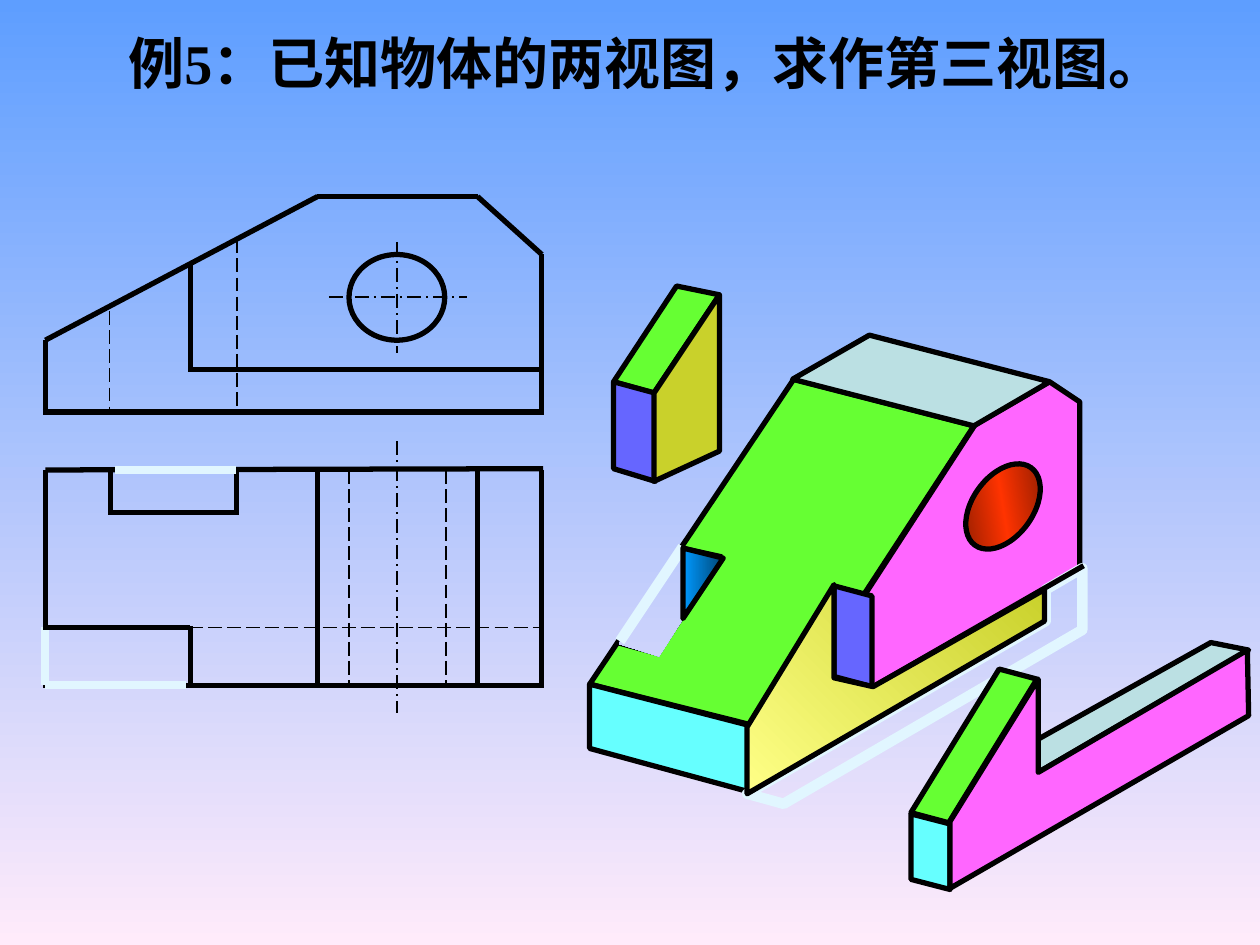
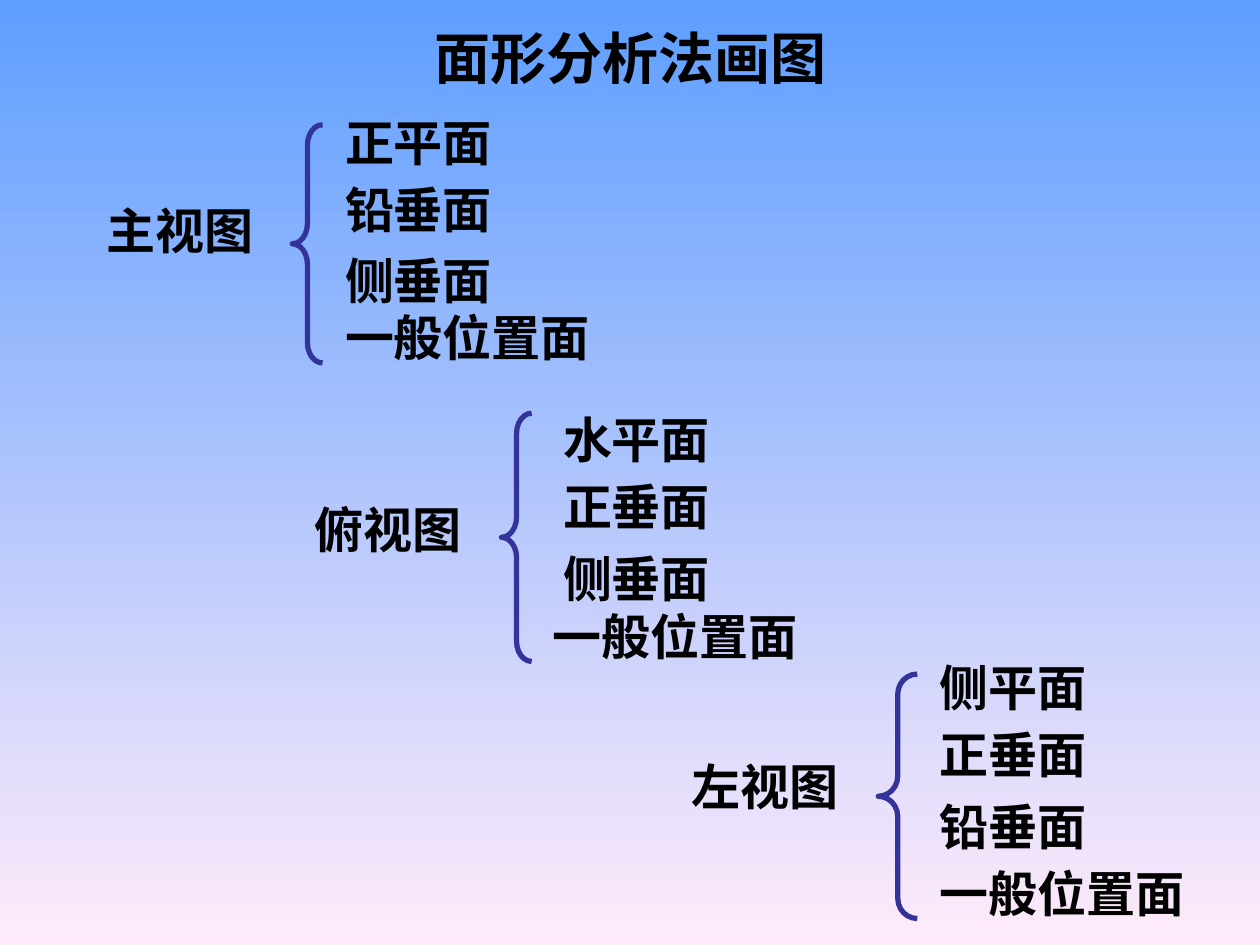
"""Build two slides on working out the third view of a solid."""
from copy import deepcopy
from dataclasses import dataclass
from typing import Any, NamedTuple

from lxml.etree import SubElement
from pptx import Presentation
from pptx.dml.color import RGBColor
from pptx.enum.dml import MSO_LINE
from pptx.enum.shapes import MSO_CONNECTOR, MSO_SHAPE
from pptx.enum.text import MSO_ANCHOR as ANCHOR
from pptx.enum.text import MSO_AUTO_SIZE as AUTO
from pptx.enum.text import PP_ALIGN as ALIGN
from pptx.oxml.ns import qn
from pptx.util import Inches, Pt

Point = tuple[float, float]
Box = tuple[float, float, float, float]

BLACK = "000000"
GHOST = "E1F6FF"
GREEN = "66FF33"
CYAN = "66FFFF"
PINK = "FF66FF"
GREY = "BBE0E3"
VIOLET = "6666FF"
OLIVE = "C9D12B"
NAVY = "333399"
BACKDROP = "backdrop"
CJK = "Noto Sans CJK SC"
LATIN = "Arial"


class Gradient(NamedTuple):
    """Evenly spaced colours along a counter-clockwise angle."""
    colors: tuple[str, ...]
    angle: float


class Stroke(NamedTuple):
    """Pen colour, width in points and dash."""
    color: str = BLACK
    width: float = 3
    dash: Any = None


@dataclass
class Face:
    """One visible face of a solid."""
    points: list[Point]
    fill: str | Gradient
    stroke: Stroke | None = Stroke()


@dataclass
class Edges:
    """Straight segments drawn with the same pen."""
    stroke: Stroke
    segments: list[Box]


@dataclass
class ViewGroup:
    """A view name, its brace and the planes listed beside it."""
    name: str
    name_at: Point
    brace: Box
    planes: list[tuple[str, float, float]]


SKY = Gradient(("5E9EFF", "FFEBFA"), 270)
HOLE = Gradient(("761800", "FF3300", "761800"), 45)
SLOPE = Gradient(("FFFF87", OLIVE), 45)
NOTCH = Gradient(("0099FF", "004776"), 0)

SOLID = Stroke()
HIDDEN = Stroke(width=1, dash=MSO_LINE.LONG_DASH)
CENTRE = Stroke(width=1, dash=MSO_LINE.LONG_DASH_DOT)
ERASED = Stroke(GHOST, 4.5)
REMOVED = Stroke(GHOST, 6)

VIEWS = [
    Edges(SOLID, [
        (0.36, 2.7, 2.52, 1.56), (0.34, 3.27, 4.32, 3.27),
        (0.36, 3.27, 0.36, 2.7), (2.52, 1.56, 3.79, 1.56),
        (3.79, 1.56, 4.3, 2.02), (4.3, 2.02, 4.3, 3.27),
        (0.36, 3.73, 4.31, 3.72), (0.36, 3.73, 0.36, 5.44),
        (0.34, 5.44, 4.31, 5.44), (4.3, 3.73, 4.3, 5.46),
        (3.79, 3.73, 3.79, 5.44), (2.52, 3.73, 2.52, 5.44),
        (0.88, 3.72, 0.88, 4.09), (1.88, 3.71, 1.88, 4.09),
        (0.87, 4.07, 1.88, 4.07)]),
    Edges(CENTRE, [
        (3.15, 1.92, 3.15, 2.8), (2.61, 2.36, 3.71, 2.36),
        (3.15, 3.5, 3.15, 5.66)]),
    Edges(HIDDEN, [
        (3.54, 3.73, 3.54, 5.44), (2.77, 3.73, 2.77, 5.44),
        (1.88, 1.9, 1.88, 3.27), (0.87, 2.47, 0.87, 3.27),
        (1.5, 4.98, 4.3, 4.98)]),
    Edges(ERASED, [
        (0.91, 3.73, 1.87, 3.73), (0.36, 4.98, 0.36, 5.44),
        (0.36, 5.44, 1.48, 5.44)]),
    Edges(SOLID, [
        (1.51, 4.97, 1.51, 5.46), (1.51, 2.1, 1.51, 2.95),
        (1.51, 2.93, 4.3, 2.93), (1.51, 4.98, 0.34, 4.98)]),
]

BODY = [
    Face([(4.68, 5.43), (6.15, 5.8), (7.73, 3.38), (6.3, 3.01)], GREEN),
    Face([(4.68, 5.94), (4.68, 5.43), (6.15, 5.81), (6.15, 6.34)], CYAN),
    Face([(6.15, 6.35), (8.57, 4.94), (8.57, 3.19), (8.33, 3.03),
          (7.74, 3.37), (6.15, 5.82)], PINK),
    Face([(7.73, 3.38), (6.29, 3.01), (6.9, 2.66), (8.33, 3.03)], GREY),
]

FRONT_CUT = [
    Face([(5.93, 6.3), (8.3, 4.93), (8.3, 4.68), (8.59, 4.51),
          (8.59, 5), (6.22, 6.38)], BACKDROP, REMOVED),
    Face([(6.62, 5.37), (6.62, 4.65), (6.92, 4.73), (6.92, 5.45)], VIOLET),
    Edges(SOLID, [(6.93, 5.45, 8.6, 4.49)]),
    Face([(5.93, 6.3), (5.93, 5.77), (6.62, 4.64), (6.62, 5.38),
          (6.93, 5.45), (8.29, 4.68), (8.29, 4.93)], SLOPE),
]

FRONT_PIECE = [
    Face([(7.54, 7.06), (7.23, 6.98), (7.23, 6.46), (7.54, 6.54)], CYAN),
    Face([(7.23, 6.45), (7.53, 6.53), (8.23, 5.39), (7.93, 5.31)], GREEN),
    Face([(7.93, 6.04), (8.24, 6.13), (9.91, 5.16), (9.61, 5.1)], GREY),
    Face([(7.54, 7.05), (7.54, 6.52), (8.24, 5.39), (8.24, 6.13),
          (9.9, 5.16), (9.91, 5.68)], PINK),
]

BACK_CUT = [
    Edges(SOLID, [(5.73, 4.42, 5.21, 5.2), (5.23, 5.19, 4.9, 5.1)]),
    Face([(4.91, 5.11), (5.23, 5.21), (5.73, 4.43), (5.41, 4.36)],
         BACKDROP, None),
    Edges(SOLID, [(5.41, 4.35, 5.73, 4.42)]),
    Edges(REMOVED, [(4.92, 5.09, 5.42, 4.34)]),
    Face([(5.42, 4.35), (5.74, 4.43), (5.42, 4.91)], NOTCH),
]

BACK_PIECE = [
    Face([(4.87, 3.03), (5.19, 3.12), (5.71, 2.34), (5.37, 2.27)], GREEN),
    Face([(4.87, 3.03), (4.87, 3.72), (5.2, 3.82), (5.2, 3.12)], VIOLET),
    Face([(5.19, 3.82), (5.71, 3.58), (5.71, 2.34), (5.19, 3.12)], OLIVE),
]

GROUPS = [
    ViewGroup("主视图", (0.75, 1.54), (2.32, 0.99, 0.24, 1.89),
              [("正平面", 2.64, 0.84), ("铅垂面", 2.64, 1.37),
               ("侧垂面", 2.64, 1.94), ("一般位置面", 2.64, 2.39)]),
    ViewGroup("俯视图", (2.4, 3.91), (3.98, 3.28, 0.24, 1.97),
              [("水平面", 4.37, 3.2), ("正垂面", 4.37, 3.73),
               ("侧垂面", 4.37, 4.3), ("一般位置面", 4.29, 4.76)]),
    ViewGroup("左视图", (5.39, 5.95), (6.97, 5.35, 0.31, 1.94),
              [("侧平面", 7.36, 5.17), ("正垂面", 7.36, 5.7),
               ("铅垂面", 7.36, 6.27), ("一般位置面", 7.36, 6.8)]),
]


def rgb(color: str) -> RGBColor:
    """Turn a hex string into a colour."""
    return RGBColor.from_string(color)


def assign(target: Any, values: dict[str, Any]) -> None:
    """Set every named attribute on the target."""
    for name, value in values.items():
        setattr(target, name, value)


def paint_gradient(fill: Any, root: Any, gradient: Gradient) -> None:
    """Fill with evenly spaced gradient stops."""
    fill.gradient()
    fill.gradient_angle = gradient.angle
    stops = root.xpath(".//a:gsLst")[0]
    for _ in gradient.colors[2:]:
        stops.append(deepcopy(stops[0]))
    last = len(gradient.colors) - 1
    for i, (stop, color) in enumerate(zip(fill.gradient_stops, gradient.colors)):
        stop.position = i / last
        stop.color.rgb = rgb(color)


def set_line(line: Any, stroke: Stroke | None) -> None:
    """Apply a pen, or no line at all."""
    if stroke is None:
        line.fill.background()
        return
    line.color.rgb = rgb(stroke.color)
    line.width = Pt(stroke.width)
    if stroke.dash is not None:
        line.dash_style = stroke.dash


def style_shape(sp: Any, fill: str | Gradient | None, stroke: Stroke | None) -> None:
    """Give a shape its fill and line, without shadow."""
    if isinstance(fill, Gradient):
        paint_gradient(sp.fill, sp._element, fill)
    elif fill == BACKDROP:
        sp._element.set("useBgFill", "1")
    elif fill is None:
        sp.fill.background()
    else:
        sp.fill.solid()
        sp.fill.fore_color.rgb = rgb(fill)
    set_line(sp.line, stroke)
    sp.shadow.inherit = False


def add_preset(slide: Any, kind: Any, box: Box, fill: Gradient | None, stroke: Stroke) -> Any:
    """Add a styled preset shape."""
    sp = slide.shapes.add_shape(kind, *map(Inches, box))
    style_shape(sp, fill, stroke)
    return sp


def add_face(slide: Any, face: Face) -> None:
    """Draw a closed polygon."""
    points = [(Inches(x), Inches(y)) for x, y in face.points]
    builder = slide.shapes.build_freeform(*points[0])
    builder.add_line_segments(points[1:], close=True)
    style_shape(builder.convert_to_shape(), face.fill, face.stroke)


def add_edges(slide: Any, edges: Edges) -> None:
    """Draw straight segments."""
    for segment in edges.segments:
        cxn = slide.shapes.add_connector(MSO_CONNECTOR.STRAIGHT, *map(Inches, segment))
        set_line(cxn.line, edges.stroke)
        SubElement(cxn._element.spPr, qn("a:effectLst"))


def draw(slide: Any, parts: list[Face | Edges]) -> None:
    """Draw faces and edges from back to front."""
    for part in parts:
        if isinstance(part, Face):
            add_face(slide, part)
        else:
            add_edges(slide, part)


def write(p: Any, text: str, font: str, size: int) -> None:
    """Add a bold black run."""
    r = p.add_run()
    r.text = text
    assign(r.font, {"name": font, "size": Pt(size), "bold": True})
    r.font.color.rgb = rgb(BLACK)


def add_slide(prs: Any, box: Box, runs: list[tuple[str, str]]) -> Any:
    """Add a slide with the shared background and title style."""
    slide = prs.slides.add_slide(prs.slide_layouts[5])
    paint_gradient(slide.background.fill, slide._element, SKY)
    title = slide.shapes.title
    assign(title, dict(zip(("left", "top", "width", "height"), map(Inches, box))))
    tf = title.text_frame
    assign(tf, {"vertical_anchor": ANCHOR.MIDDLE, "word_wrap": True, "auto_size": AUTO.NONE})
    p = tf.paragraphs[0]
    p.alignment = ALIGN.CENTER
    for text, font in runs:
        write(p, text, font, 32)
    return slide


def add_label(slide: Any, text: str, left: float, top: float) -> None:
    """Add a text box sized to its number of characters."""
    width = 1.42 if len(text) == 3 else 2.44
    sp = slide.shapes.add_textbox(*map(Inches, (left, top, width, 0.57)))
    tf = sp.text_frame
    assign(tf, {"word_wrap": True, "vertical_anchor": ANCHOR.MIDDLE,
                "auto_size": AUTO.SHAPE_TO_FIT_TEXT})
    write(tf.paragraphs[0], text, LATIN, 28)


def add_group(slide: Any, group: ViewGroup) -> None:
    """Draw a view name, its brace and its planes."""
    add_label(slide, group.name, *group.name_at)
    brace = add_preset(slide, MSO_SHAPE.LEFT_BRACE, group.brace, None, Stroke(NAVY))
    brace.adjustments[0] = 0.16 / group.brace[2]
    for plane in group.planes:
        add_label(slide, *plane)


def main() -> None:
    """Build and save the slides."""
    prs = Presentation()
    assign(prs, {"slide_width": Inches(10), "slide_height": Inches(7.5)})

    example = add_slide(prs, (0.27, 0, 9.73, 0.98), [
        ("例", CJK), ("5", "Times New Roman"),
        ("：已知物体的两视图，求作第三视图。", CJK)])
    draw(example, VIEWS)
    add_preset(example, MSO_SHAPE.OVAL, (2.77, 2.02, 0.76, 0.68), None, SOLID)
    draw(example, BODY)
    hole = add_preset(example, MSO_SHAPE.OVAL, (7.72, 3.64, 0.48, 0.76), HOLE, SOLID)
    hole.rotation = 35.9
    draw(example, FRONT_CUT + FRONT_PIECE + BACK_CUT + BACK_PIECE)

    analysis = add_slide(prs, (0.2, 0.13, 9.61, 0.64), [("面形分析法画图", LATIN)])
    for group in GROUPS:
        add_group(analysis, group)
    prs.save("out.pptx")


if __name__ == "__main__":
    main()
